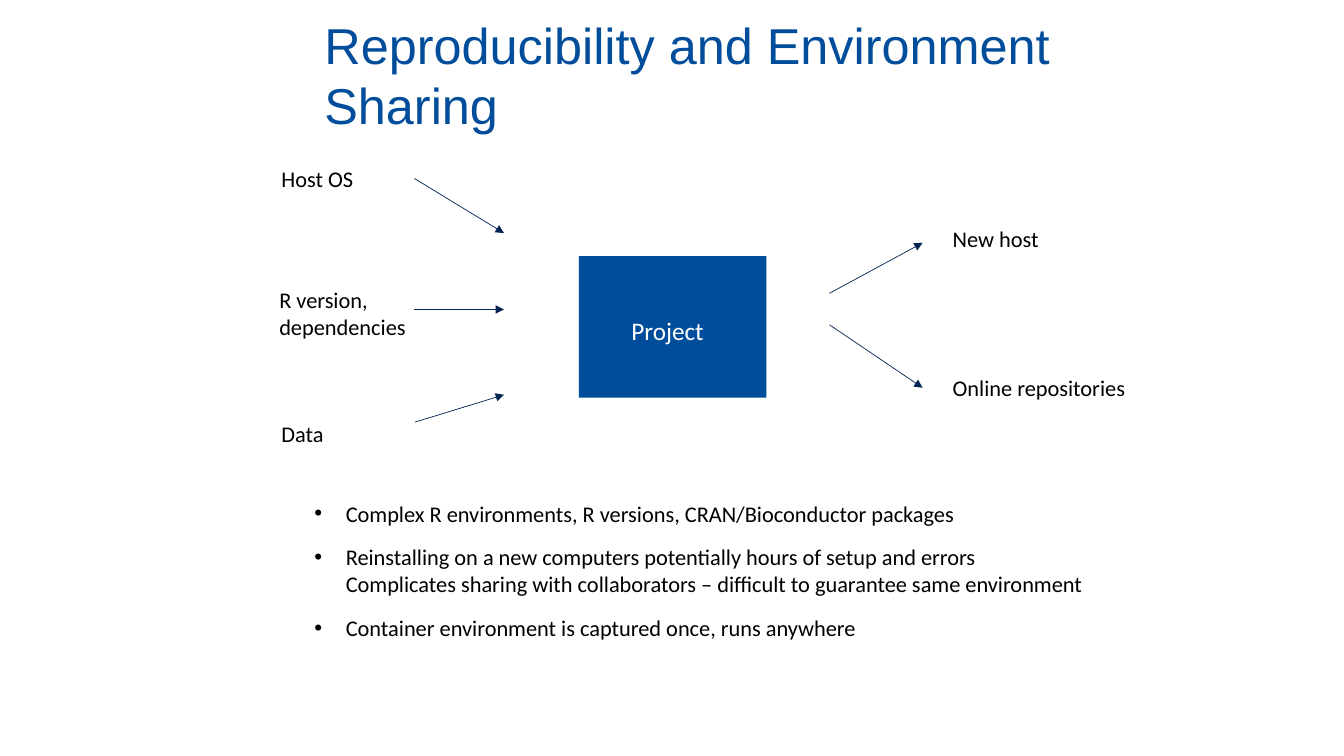
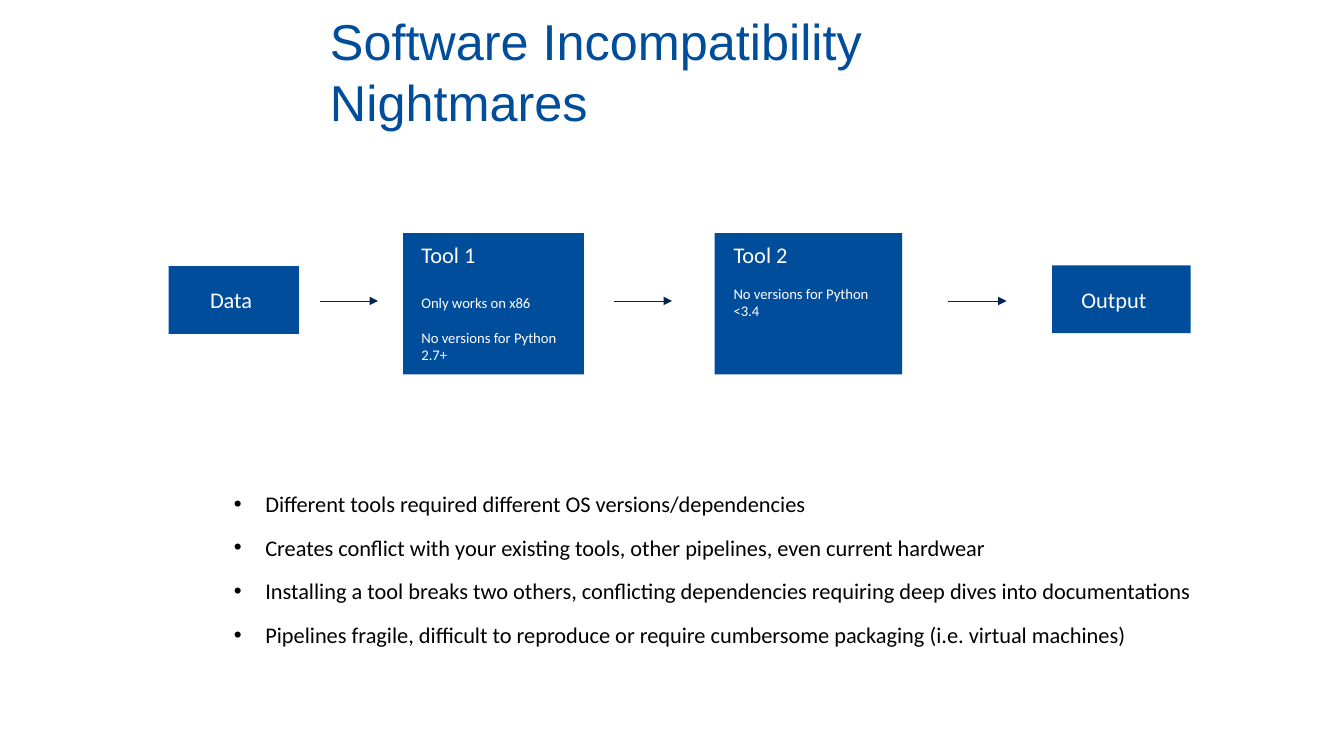
from pptx import Presentation
from pptx.dml.color import RGBColor
from pptx.enum.shapes import MSO_CONNECTOR as Connector, MSO_SHAPE as Shape
from pptx.enum.text import MSO_ANCHOR as Anchor, MSO_AUTO_SIZE as AutoSize, PP_ALIGN as Align
from pptx.oxml.ns import qn
from pptx.util import Pt
from lxml.etree import SubElement

BLUE, NAVY, BLACK, WHITE = "004D9B", "002552", "000000", "FFFFFF"
TITLE_FONT, TEXT_FONT = "Arial", "Calibri"
TEXT_SIZE, NOTE_SIZE = 16, 10.5
PARAGRAPH_GAP, BULLET_INDENT = 12, 22.5
FLOW_Y, FLOW_LENGTH = 215, 41.5

SLIDES = [
    {
        "title": ("Reproducibility and Environment Sharing", (224.5, 7, 553.5, 92)),
        "bullets": ([
            "Complex R environments, R versions, CRAN/Bioconductor packages",
            "Reinstalling on a new computers potentially hours of setup and errors\n"
            "Complicates sharing with collaborators – difficult to guarantee same environment",
            "Container environment is captured once, runs anywhere",
        ], (224.5, 357, 700, 102)),
        "boxes": [
            {"heading": "Project", "size": 18, "area": (413.5, 183, 134, 101), "inset": (37.5, 42.5)},
        ],
        "labels": [
            ("Host OS", (201, 118, 65, 19.5)),
            ("R version, dependencies", (199.5, 204.5, 96.5, 39)),
            ("Data", (201, 300, 65, 19.5)),
            ("New host", (680.5, 160.5, 65, 19.5)),
            ("Online repositories", (680.5, 267, 128, 19.5)),
        ],
        "arrows": [
            (296, 127.5, 360, 166.5),
            (296, 221, 360, 221),
            (296.5, 301.5, 360, 282),
            (592.5, 232, 659, 277),
            (592.5, 209.5, 659, 173.5),
        ],
    },
    {
        "title": ("Software Incompatibility Nightmares", (228.5, 4.5, 502.5, 92)),
        "bullets": ([
            "Different tools required different OS versions/dependencies",
            "Creates conflict with your existing tools, other pipelines, even current hardwear",
            "Installing a tool breaks two others, conflicting dependencies requiring deep dives into documentations",
            "Pipelines fragile, difficult to reproduce or require cumbersome packaging (i.e. virtual machines)",
        ], (167, 350, 760, 130)),
        "boxes": [
            {"heading": "Data", "area": (120.5, 190, 93, 48.5), "inset": (29.5, 14.5)},
            {"heading": "Tool 1", "area": (288, 166.5, 129, 101), "inset": (13, 5.5), "gap": 19,
             "notes": ["Only works on x86", "No versions for Python 2.7+"]},
            {"heading": "Tool 2", "area": (510.5, 166.5, 134, 101), "inset": (13.5, 5.5),
             "notes": ["No versions for Python <3.4"]},
            {"heading": "Output", "area": (751.5, 189.5, 99, 48.5), "inset": (21, 15)},
        ],
        "labels": [],
        "arrows": [(x, FLOW_Y, x + FLOW_LENGTH, FLOW_Y) for x in (228.5, 438.5, 677.5)],
    },
]


def color(value):
    return RGBColor.from_string(value)


def points(values):
    return [Pt(value) for value in values]


def place(part, area):
    part.left, part.top, part.width, part.height = points(area)


def set_frame(frame, insets, anchor=Anchor.TOP):
    frame.word_wrap = True
    frame.auto_size = AutoSize.NONE
    frame.vertical_anchor = anchor
    frame.margin_left, frame.margin_top, frame.margin_right, frame.margin_bottom = points(insets)


def format_paragraph(paragraph, size, ink, font=TEXT_FONT, gap=0):
    paragraph.alignment = Align.LEFT
    paragraph.space_before = Pt(0)
    paragraph.space_after = Pt(gap)
    for run in paragraph.runs:
        run.font.name = font
        run.font.size = Pt(size)
        run.font.color.rgb = color(ink)


def add_title(slide, text, area):
    title = slide.shapes.title
    place(title, area)
    title.text_frame.text = text
    set_frame(title.text_frame, (7.2, 3.6, 7.2, 3.6), Anchor.MIDDLE)
    format_paragraph(title.text_frame.paragraphs[0], 36, BLUE, TITLE_FONT)


def add_bullets(slide, items, area):
    body = slide.placeholders[1]
    place(body, area)
    frame = body.text_frame
    set_frame(frame, (0, 0, 0, 0))
    for index, item in enumerate(items):
        paragraph = frame.add_paragraph() if index else frame.paragraphs[0]
        paragraph.text = item
        properties = paragraph._p.get_or_add_pPr()
        properties.set("marL", str(Pt(BULLET_INDENT)))
        properties.set("indent", str(-Pt(BULLET_INDENT)))
        format_paragraph(paragraph, TEXT_SIZE, BLACK, gap=PARAGRAPH_GAP)


def add_box(slide, heading, area, inset, size=TEXT_SIZE, gap=PARAGRAPH_GAP, notes=()):
    box = slide.shapes.add_shape(Shape.RECTANGLE, *points(area))
    box.shadow.inherit = False
    box.fill.solid()
    box.fill.fore_color.rgb = color(BLUE)
    box.line.fill.background()
    frame = box.text_frame
    set_frame(frame, (*inset, 8, 0))
    frame.text = heading
    format_paragraph(frame.paragraphs[0], size, WHITE, gap=gap if notes else 0)
    for note in notes:
        paragraph = frame.add_paragraph()
        paragraph.text = note
        format_paragraph(paragraph, NOTE_SIZE, WHITE, gap=PARAGRAPH_GAP)


def add_label(slide, text, area):
    frame = slide.shapes.add_textbox(*points(area)).text_frame
    set_frame(frame, (0, 0, 0, 0))
    frame.text = text
    format_paragraph(frame.paragraphs[0], TEXT_SIZE, BLACK)


def add_arrow(slide, ends):
    arrow = slide.shapes.add_connector(Connector.STRAIGHT, *points(ends))
    arrow.line.color.rgb = color(NAVY)
    arrow.line.width = Pt(0.5)
    SubElement(arrow.line._get_or_add_ln(), qn("a:tailEnd"), type="triangle")
    SubElement(arrow._element.spPr, qn("a:effectLst"))


def main():
    deck = Presentation()
    deck.slide_width, deck.slide_height = points((960, 540))
    for content in SLIDES:
        slide = deck.slides.add_slide(deck.slide_layouts[1])
        add_title(slide, *content["title"])
        add_bullets(slide, *content["bullets"])
        for box in content["boxes"]:
            add_box(slide, **box)
        for ends in content["arrows"]:
            add_arrow(slide, ends)
        for label in content["labels"]:
            add_label(slide, *label)
    deck.save("out.pptx")


if __name__ == "__main__":
    main()
